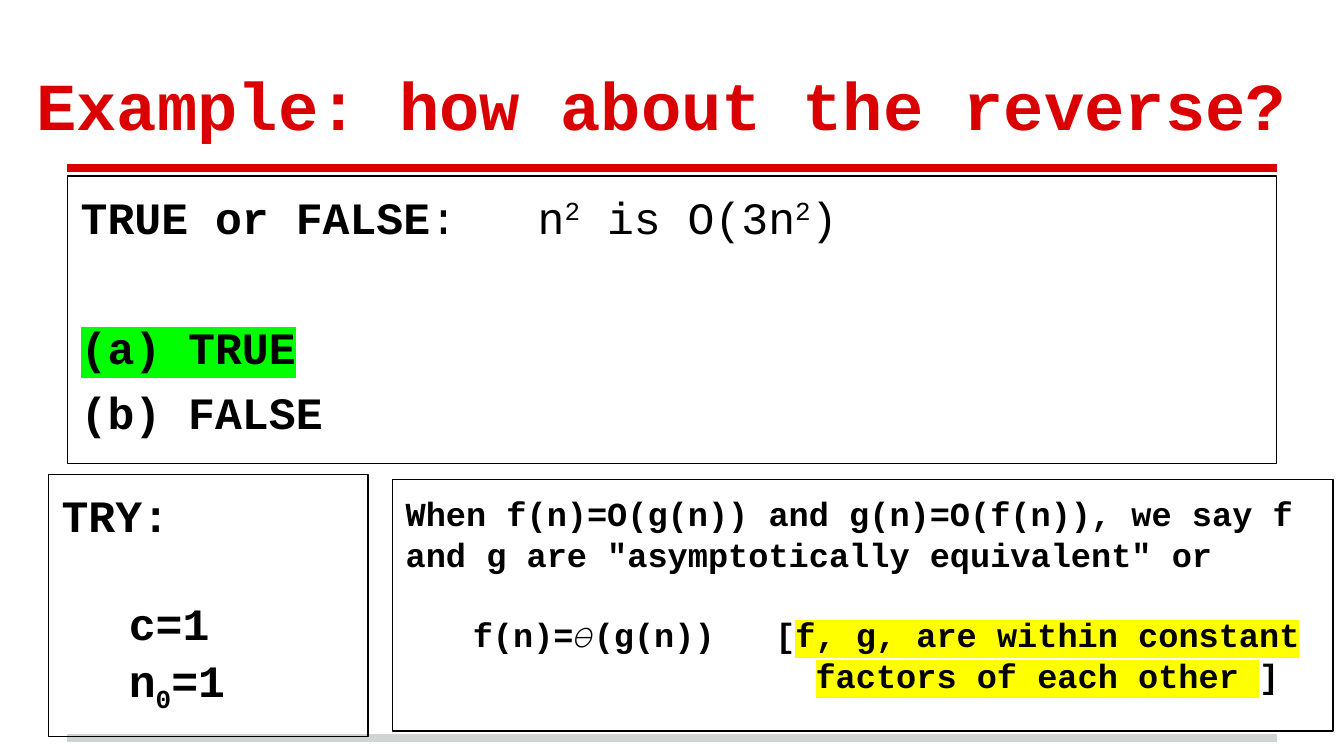
import pptx
import pptx.util
import pptx.dml.color
import pptx.enum.shapes
import pptx.enum.text
import pptx.oxml
import pptx.oxml.ns

COLORS = {
    "red": "DA0002",
    "gray": "CFD4D4",
    "black": "000000",
    "green": "00FF00",
    "yellow": "FFFF00",
}
WIDTH = 10
HEIGHT = WIDTH * 9 / 16
MARGIN = 0.05 * WIDTH
INDENT = 0.5
LINE_FACTOR = 1.2
CHARACTER_WIDTH = 0.6
FRAME_FORMAT = {
    "word_wrap": True,
    "auto_size": pptx.enum.text.MSO_AUTO_SIZE.NONE,
    "margin_left": pptx.util.Inches(0.1),
    "margin_right": pptx.util.Inches(0.1),
    "margin_top": pptx.util.Inches(0.1),
    "margin_bottom": pptx.util.Inches(0.1),
}
Anchor = pptx.enum.text.MSO_ANCHOR


def rgb(name):
    return pptx.dml.color.RGBColor.from_string(COLORS[name])


def set_attributes(target, values):
    for name, value in values.items():
        setattr(target, name, value)


def add_element(parent, tag, **attributes):
    element = pptx.oxml.parse_xml(f"<a:{tag} {pptx.oxml.ns.nsdecls('a')}/>")
    for name, value in attributes.items():
        element.set(name, str(value))
    parent.append(element)
    return element


def place(shape, left, top, width, height):
    box = {"left": left, "top": top, "width": width, "height": height}
    set_attributes(shape, {name: pptx.util.Inches(value) for name, value in box.items()})


def outline(shape):
    shape.fill.background()
    shape.line.color.rgb = rgb("black")
    shape.line.width = pptx.util.Pt(0.75)


def add_rule(slide, top, color):
    ends = [pptx.util.Inches(value) for value in (MARGIN, top, WIDTH - MARGIN, top)]
    rule = slide.shapes.add_connector(pptx.enum.shapes.MSO_CONNECTOR.STRAIGHT, *ends)
    rule.line.color.rgb = rgb(color)
    rule.line.width = pptx.util.Pt(4)
    add_element(rule._element.spPr, "effectLst")


def add_run(paragraph, text, size, color, bold=True, baseline=0, highlight=None, widen=0):
    run = paragraph.add_run()
    run.text = text
    set_attributes(run.font, {"name": "Courier New", "size": pptx.util.Pt(size), "bold": bold})
    run.font.color.rgb = rgb(color)
    properties = run.font._element
    if baseline:
        properties.set("baseline", str(baseline * 1000))
    if widen:
        properties.set("spc", str(round(widen * size * CHARACTER_WIDTH * 100)))
    if highlight:
        marker = add_element(properties, "highlight")
        add_element(marker, "srgbClr", val=COLORS[highlight])
        properties.find(pptx.oxml.ns.qn("a:solidFill")).addnext(marker)


def write(shape, paragraphs, size, color="black", anchor=Anchor.TOP):
    frame = shape.text_frame
    set_attributes(frame, {**FRAME_FORMAT, "vertical_anchor": anchor})
    for index, (layout, runs) in enumerate(paragraphs):
        paragraph = frame.paragraphs[0] if index == 0 else frame.add_paragraph()
        properties = paragraph._p.get_or_add_pPr()
        properties.set("marL", str(pptx.util.Inches(layout.get("indent", 0))))
        properties.set("indent", "0")
        add_element(properties, "buNone")
        set_attributes(paragraph, {
            "alignment": pptx.enum.text.PP_ALIGN.LEFT,
            "line_spacing": layout.get("spacing", pptx.util.Pt(size * LINE_FACTOR)),
            "space_before": pptx.util.Pt(layout.get("before", 0)),
            "space_after": pptx.util.Pt(0),
        })
        for text, style in runs:
            add_run(paragraph, text, size, color, **style)


def add_box(slide, box, paragraphs, size):
    shape = slide.shapes.add_shape(pptx.enum.shapes.MSO_SHAPE.RECTANGLE, 0, 0, 0, 0)
    shape.shadow.inherit = False
    place(shape, *box)
    outline(shape)
    write(shape, paragraphs, size)


def main():
    presentation = pptx.Presentation()
    presentation.slide_width = pptx.util.Inches(WIDTH)
    presentation.slide_height = pptx.util.Inches(HEIGHT)
    slide = presentation.slides.add_slide(presentation.slide_layouts[1])

    add_rule(slide, 5.49, "gray")
    add_rule(slide, 1.25, "red")

    title = slide.shapes.title
    place(title, 0.17, 0.23, 9.64, 0.94)
    write(title, [({}, [("Example: how about the reverse?", {})])], 36, "red", Anchor.BOTTOM)

    plain, power = {"bold": False}, {"bold": False, "baseline": 30}
    wide_space = (" ", {"bold": False, "widen": 2})
    question = slide.placeholders[1]
    place(question, MARGIN, 1.31, WIDTH - 2 * MARGIN, 2.14)
    outline(question)
    write(question, [
        ({}, [("TRUE or FALSE", {}), (":", plain), wide_space, ("n", plain), ("2", power),
              (" is O(3n", plain), ("2", power), (")", plain)]),
        ({"before": 12 + 24 * LINE_FACTOR}, [("(a) TRUE", {"highlight": "green"})]),
        ({"before": 6}, [("(b) FALSE", {})]),
    ], 24)

    add_box(slide, (0.36, 3.53, 2.38, 1.95), [
        ({}, [("TRY:", {})]),
        ({"indent": INDENT, "before": 24 * LINE_FACTOR}, [("c=1", {})]),
        ({"indent": INDENT, "spacing": 1.06},
         [("n", {}), ("0", {"baseline": -25}), ("=1", {})]),
    ], 24)

    marked = {"highlight": "yellow"}
    add_box(slide, (2.92, 3.57, 7, 1.87), [
        ({}, [('When f(n)=O(g(n)) and g(n)=O(f(n)), we say f and g are '
               '"asymptotically equivalent" or', {})]),
        ({"indent": INDENT, "before": 18 * LINE_FACTOR},
         [("f(n)=𝛳(g(n))", {}), wide_space, ("[", {}), ("f, g, are within constant", marked)]),
        ({"indent": 3.05}, [("factors of each other ", marked), ("]", {})]),
    ], 18)

    presentation.save("out.pptx")


if __name__ == "__main__":
    main()
